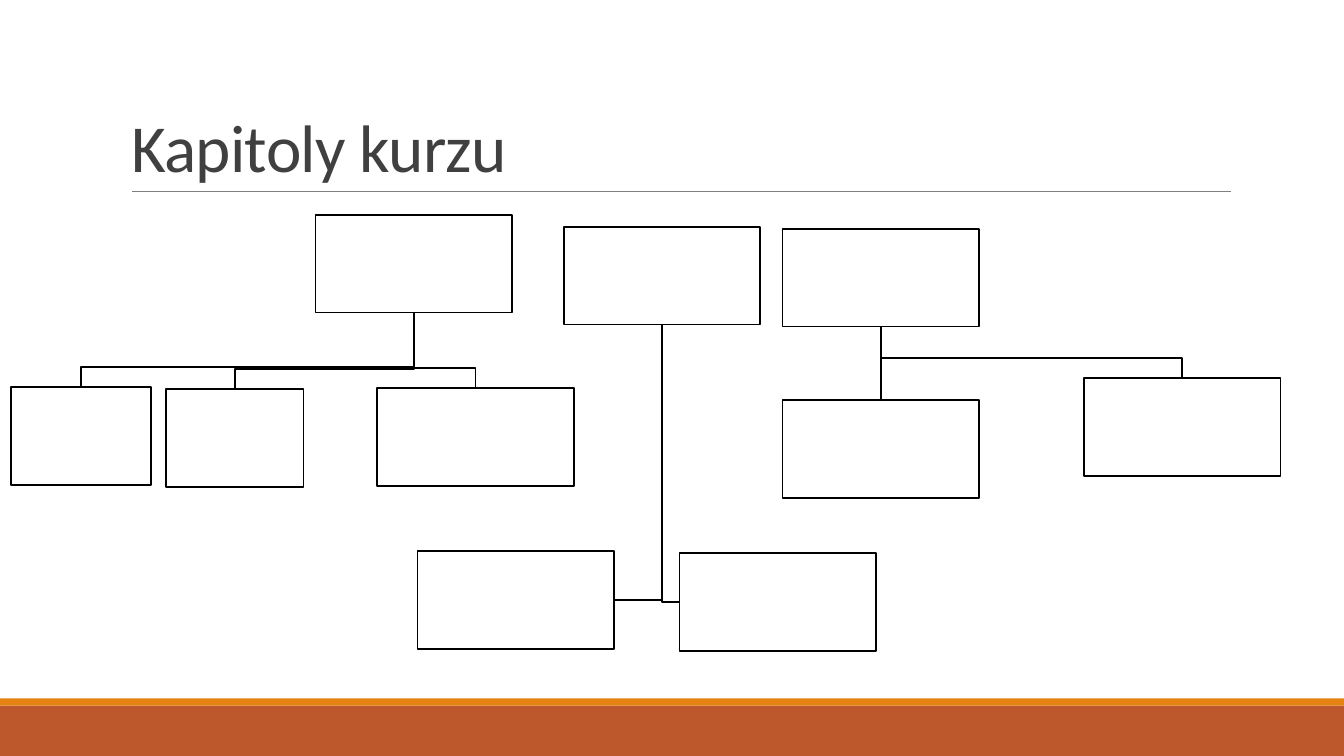
from pptx import Presentation
from pptx.dml.color import RGBColor
from pptx.enum import shapes, text
from pptx.util import Inches, Pt

COLORS = {
    "white": "FFFFFF",
    "black": "000000",
    "title": "404040",
    "rule": "808080",
    "orange": "E48312",
    "rust": "BD582C",
}
BOX_WIDTH, BOX_HEIGHT = 1.95, 0.97
DROP = 0.2  # last vertical stretch of a branch above its child

# Each parent box (left, top) with its children (left, top, width).
TOP_BRANCHES = [
    ((3.13, 2.13), [(0.11, 3.84, 1.39), (1.65, 3.86, 1.36), (3.74, 3.85, BOX_WIDTH)]),
    ((7.76, 2.27), [(7.76, 3.97, BOX_WIDTH), (10.75, 3.75, BOX_WIDTH)]),
]
SIDE_PARENT = (5.59, 2.25)
SIDE_CHILDREN = [(4.14, 5.47), (6.74, 5.49)]


def color(name):
    return RGBColor.from_string(COLORS[name])


def set_line(line, name, width):
    line.color.rgb = color(name)
    line.width = Pt(width)


def add_rectangle(slide, left, top, width, height, fill, line=None):
    shape = slide.shapes.add_shape(
        shapes.MSO_SHAPE.RECTANGLE,
        Inches(left), Inches(top), Inches(width), Inches(height))
    shape.shadow.inherit = False
    shape.fill.solid()
    shape.fill.fore_color.rgb = color(fill)
    if line:
        set_line(shape.line, line, 1.25)
    else:
        shape.line.fill.background()
    return shape


def add_box(slide, left, top, width=BOX_WIDTH):
    return add_rectangle(slide, left, top, width, BOX_HEIGHT, "white", "black")


def add_branch(slide, points):
    """Draw an open, right-angled line through points given in inches."""
    start, *rest = [(Inches(x), Inches(y)) for x, y in points]
    builder = slide.shapes.build_freeform(*start)
    builder.add_line_segments(rest, close=False)
    shape = builder.convert_to_shape()
    shape.shadow.inherit = False
    shape.fill.background()
    set_line(shape.line, "black", 1.25)


def write_text(frame, words, *, size, fill, font="Calibri", spacing=0,
               line_spacing=1.0, align=text.PP_ALIGN.LEFT,
               anchor=text.MSO_ANCHOR.BOTTOM):
    frame.word_wrap = True
    frame.vertical_anchor = anchor
    paragraph = frame.paragraphs[0]
    paragraph.alignment = align
    paragraph.line_spacing = line_spacing
    run = paragraph.add_run()
    run.text = words
    run.font.name = font
    run.font.size = Pt(size)
    run.font.color.rgb = color(fill)
    run._r.get_or_add_rPr().set("spc", str(round(spacing * 100)))


def add_title(slide, words):
    title = slide.shapes.title
    title.left, title.top = Inches(1.2), Inches(0.31)
    title.width, title.height = Inches(11), Inches(1.59)
    write_text(title.text_frame, words, size=48, fill="title",
               spacing=-0.5, line_spacing=0.85)


def add_title_rule(slide):
    rule = slide.shapes.add_connector(
        shapes.MSO_CONNECTOR.STRAIGHT,
        Inches(1.31), Inches(1.9), Inches(12.21), Inches(1.9))
    set_line(rule.line, "rule", 0.5)
    properties = rule._element.spPr
    properties.append(properties.makeelement(
        "{http://schemas.openxmlformats.org/drawingml/2006/main}effectLst", {}))


def bottom_middle(left, top):
    return left + BOX_WIDTH / 2, top + BOX_HEIGHT


def add_top_tree(slide, parent, children):
    """Join the parent to the top of each child, then draw the boxes."""
    x, y = bottom_middle(*parent)
    for left, top, width in children:
        middle = left + width / 2
        add_branch(slide, [(x, y), (x, top - DROP), (middle, top - DROP), (middle, top)])
    add_box(slide, *parent)
    for child in children:
        add_box(slide, *child)


def add_side_tree(slide, parent, children):
    """Join the parent to the facing side of each child, then draw the boxes."""
    x, y = bottom_middle(*parent)
    for left, top in children:
        side = left if left > x else left + BOX_WIDTH
        middle = top + BOX_HEIGHT / 2
        add_branch(slide, [(x, y), (x, middle), (side, middle)])
    for left, top in [parent, *children]:
        add_box(slide, left, top)


def main():
    presentation = Presentation()
    presentation.slide_width, presentation.slide_height = Inches(13.33), Inches(7.5)
    slide = presentation.slides.add_slide(presentation.slide_layouts[5])
    add_rectangle(slide, 0, 7, 13.33, 0.5, "rust")
    add_rectangle(slide, 0, 6.93, 13.33, 0.07, "orange")
    add_title_rule(slide)
    add_title(slide, "Kapitoly kurzu")
    add_side_tree(slide, SIDE_PARENT, SIDE_CHILDREN)
    for parent, children in TOP_BRANCHES:
        add_top_tree(slide, parent, children)
    presentation.save("out.pptx")


if __name__ == "__main__":
    main()
